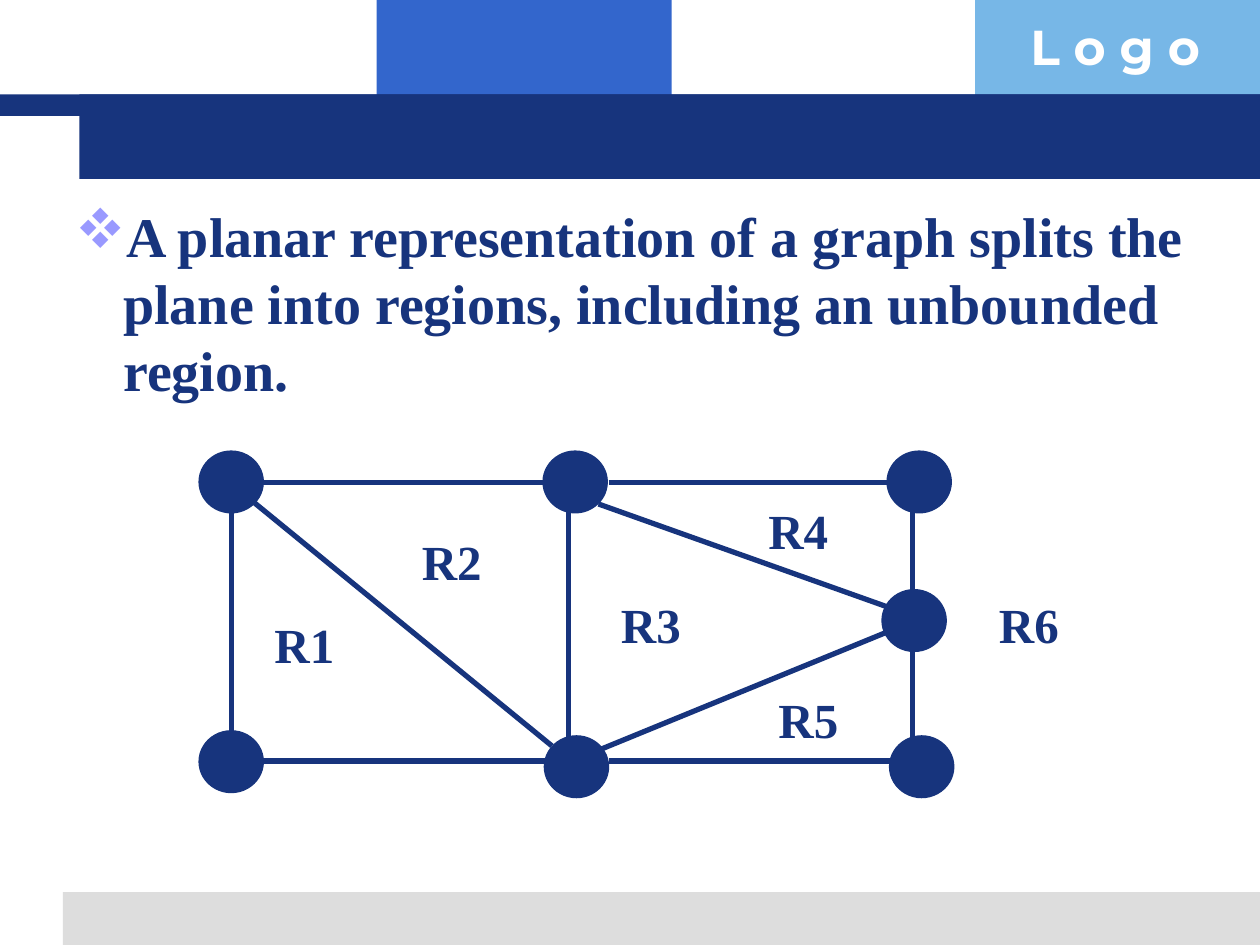
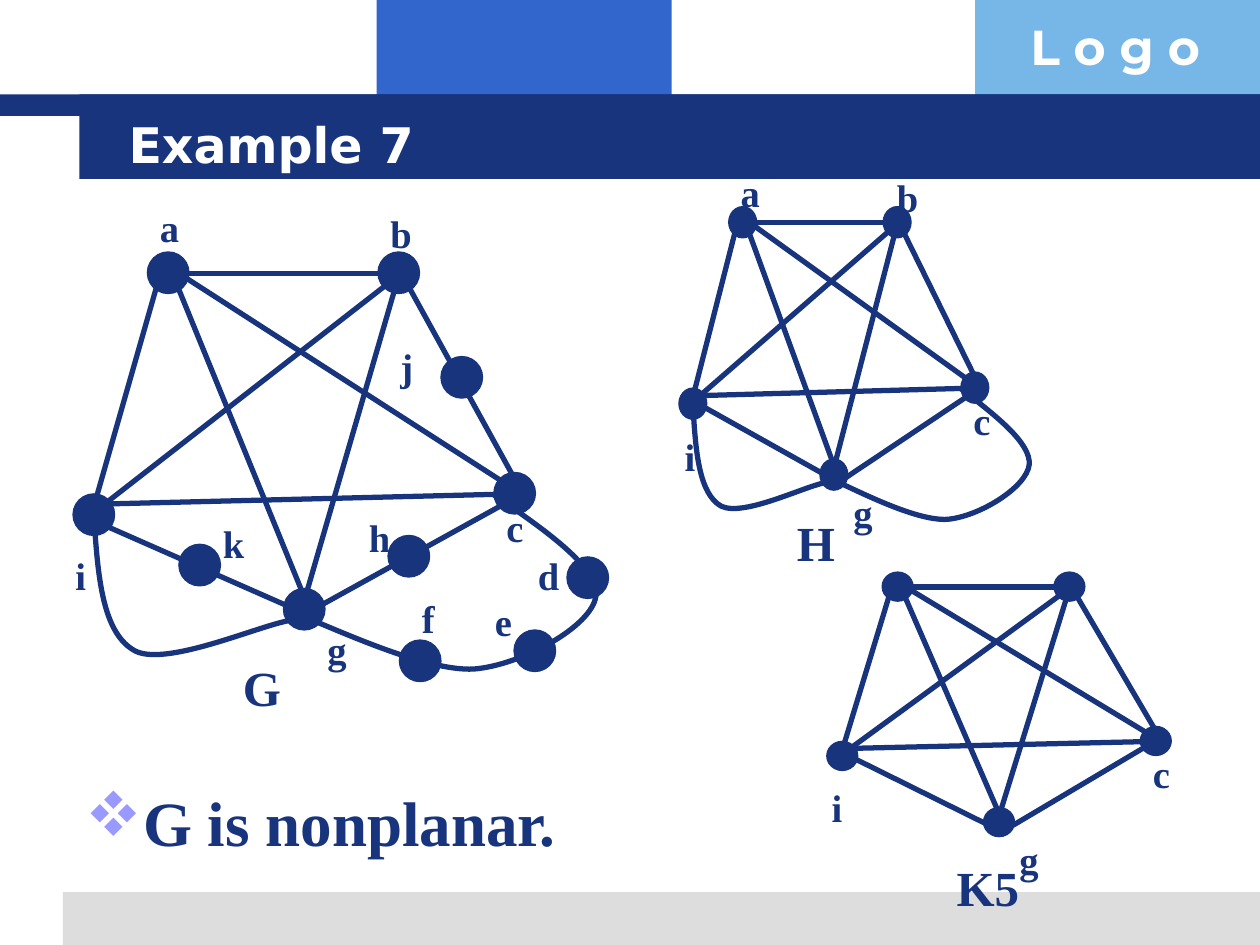
"""Build two slides on planar graphs: regions of a planar drawing, and a nonplanar example."""
from lxml import etree
from pptx import Presentation
from pptx.dml.color import RGBColor
from pptx.enum.shapes import MSO_CONNECTOR, MSO_SHAPE
from pptx.enum.text import MSO_ANCHOR, PP_ALIGN
from pptx.oxml.ns import qn
from pptx.util import Inches, Pt

RECTANGLE, OVAL = MSO_SHAPE.RECTANGLE, MSO_SHAPE.OVAL
STRAIGHT = MSO_CONNECTOR.STRAIGHT
LEFT, TOP, MIDDLE = PP_ALIGN.LEFT, MSO_ANCHOR.TOP, MSO_ANCHOR.MIDDLE

NAVY = RGBColor(0x17, 0x34, 0x7D)
BLUE = RGBColor(0x33, 0x66, 0xCC)
SKY = RGBColor(0x77, 0xB7, 0xE7)
GREY = RGBColor(0xDD, 0xDD, 0xDD)
WHITE = RGBColor(0xFF, 0xFF, 0xFF)
BULLET_COLOUR = RGBColor(0x99, 0x99, 0xFF)
SERIF, TITLE_FONT, LOGO_FONT = "Times New Roman", "DejaVu Sans", "Montserrat"
BULLET_FONT, BULLET_CHARACTER = "Wingdings", "v"
TITLE_ONLY, BLANK = 5, 6

BANDS = [
    ((2.99, 0, 2.34, 0.92), BLUE),
    ((7.74, 0, 2.26, 0.92), SKY),
    ((0.5, 7.08, 9.5, 0.42), GREY),
    ((0, 0.75, 10, 0.17), NAVY),
    ((0.63, 0.75, 9.37, 0.67), NAVY),
]

REGION_TEXT = ("A planar representation of a graph splits the plane into regions, "
               "including an unbounded region.")
REGION_NODE_SIZE = (0.51, 0.49)
REGION_NODES = [(1.58, 3.58), (1.58, 5.8), (4.31, 3.58), (4.32, 5.84),
                (7.04, 3.58), (7.06, 5.84), (7, 4.68)]
REGION_EDGES = [
    (1.97, 3.95, 4.38, 5.92), (2.09, 3.83, 4.38, 3.83), (2.09, 6.04, 4.38, 6.04),
    (1.84, 4.07, 1.84, 5.8), (4.51, 3.95, 4.51, 5.92), (4.83, 3.83, 7.11, 3.83),
    (4.83, 6.04, 7.11, 6.04), (7.24, 3.95, 7.24, 5.92), (4.75, 4, 7.08, 4.83),
    (4.76, 5.95, 7.08, 5),
]
REGION_LABELS = {"R1": (2.08, 4.83), "R2": (3.25, 4.17), "R3": (4.83, 4.67),
                 "R4": (6, 3.92), "R5": (6.08, 5.42), "R6": (7.83, 4.67)}

NODE_SIZE = 0.33
LABEL_SIZE = (0.42, 0.47)
NAME_POSITION = (1.83, 5.17)
PENTAGON_NODES = [(1.17, 2), (3, 2), (0.58, 3.92), (3.92, 3.75), (2.25, 4.67)]
SUBDIVIDING_NODES = [(3.5, 2.83), (3.08, 4.25), (1.42, 4.32),
                     (4.5, 4.42), (4.08, 5), (3.17, 5.08)]
PENTAGON_EDGES = [
    (0.75, 4, 1.25, 2.25), (2.42, 4.75, 1.4, 2.25), (3.08, 2.25, 0.83, 4),
    (4.15, 3.92, 3.23, 2.25), (2.42, 4.75, 3.17, 2.17), (4.08, 3.92, 0.83, 4),
    (4, 3.83, 1.42, 2.17), (3.08, 2.17, 1.42, 2.17),
]
LOOPS = [
    [(3.91, 3.92), (4.33, 4.21), (4.75, 4.5), (4.73, 4.73), (4.7, 4.97),
     (4.14, 5.28), (3.76, 5.31), (3.37, 5.33), (2.64, 4.98), (2.42, 4.9)],
    [(0.75, 4.17), (0.78, 4.6), (0.82, 5.04), (1.08, 5.17),
     (1.35, 5.29), (2.11, 4.94), (2.33, 4.92)],
]
LABELS = {"a": (1.17, 1.57), "b": (3, 1.62), "i": (0.5, 4.33), "g": (2.5, 4.92),
          "c": (3.92, 3.95), "k": (1.67, 4.08), "h": (2.83, 4.03), "j": (3.08, 2.67),
          "f": (3.25, 4.67), "e": (3.83, 4.7), "d": (4.17, 4.33)}
GRAPHS = [
    {"name": "G", "name_width": 0.58, "origin": (0, 0), "scale": (1, 1),
     "nodes": PENTAGON_NODES + SUBDIVIDING_NODES, "labels": "abigckhjfed", "loops": LOOPS,
     "lower_edges": [(0.83, 4.17, 2.33, 4.83), (2.5, 4.83, 4, 4)]},
    {"name": "H", "name_width": 0.39, "origin": (5, 0.14), "scale": (0.67, 0.75),
     "nodes": PENTAGON_NODES, "labels": "abigc", "loops": LOOPS,
     "moved_labels": {"a": (5.78, 1.29), "b": (7.02, 1.33)},
     "lower_edges": [(5.55, 3.21, 6.55, 3.77), (6.67, 3.82, 7.7, 3.13)]},
    {"name": "K5", "name_width": 0.94, "origin": (6.13, 3.14), "scale": (0.745, 0.7),
     "nodes": PENTAGON_NODES, "labels": "igc", "loops": [],
     "lower_edges": [(6.74, 6, 7.87, 6.56), (8.04, 6.55, 9.12, 5.91)]},
]


def add_filled(slide, kind, box, colour, outlined=False):
    shape = slide.shapes.add_shape(kind, *map(Inches, box))
    shape.shadow.inherit = False
    shape.fill.solid()
    shape.fill.fore_color.rgb = colour
    if outlined:
        shape.line.color.rgb = colour
        shape.line.width = Pt(0.75)
    else:
        shape.line.fill.background()


def add_edge(slide, ends):
    connector = slide.shapes.add_connector(STRAIGHT, *map(Inches, ends))
    connector.line.color.rgb = NAVY
    connector.line.width = Pt(3)
    etree.SubElement(connector.element.spPr, qn("a:effectLst"))


def add_curve(slide, controls):
    points = [(Inches(x), Inches(y)) for x, y in controls]
    builder = slide.shapes.build_freeform(*points[0])
    builder.add_line_segments(points[1:], close=False)
    curve = builder.convert_to_shape()
    outline = next(curve.element.iter(qn("a:path")))
    segments = outline.findall(qn("a:lnTo"))
    for first in range(0, len(segments), 3):
        bezier = etree.SubElement(outline, qn("a:cubicBezTo"))
        for segment in segments[first:first + 3]:
            bezier.append(segment[0])
            outline.remove(segment)
    curve.shadow.inherit = False
    curve.fill.background()
    curve.line.color.rgb = NAVY
    curve.line.width = Pt(3)


def add_bullet(paragraph):
    properties = paragraph._p.get_or_add_pPr()
    properties.set("marL", str(Inches(0.38)))
    properties.set("indent", str(-Inches(0.38)))
    colour = etree.SubElement(properties, qn("a:buClr"))
    etree.SubElement(colour, qn("a:srgbClr"), val=str(BULLET_COLOUR))
    etree.SubElement(properties, qn("a:buFont"), typeface=BULLET_FONT, charset="2")
    etree.SubElement(properties, qn("a:buChar"), char=BULLET_CHARACTER)


def write(shape, text, size, font=SERIF, colour=NAVY, anchor=TOP, bullet=False):
    frame = shape.text_frame
    frame.word_wrap = True
    frame.vertical_anchor = anchor
    paragraph = frame.paragraphs[0]
    paragraph.text = text
    paragraph.alignment = LEFT
    if bullet:
        add_bullet(paragraph)
    run_font = paragraph.runs[0].font
    run_font.name, run_font.size, run_font.bold = font, Pt(size), True
    run_font.color.rgb = colour


def add_text(slide, box, text, size, **style):
    write(slide.shapes.add_textbox(*map(Inches, box)), text, size, **style)


def add_slide(presentation, title=None):
    slide = presentation.slides.add_slide(
        presentation.slide_layouts[TITLE_ONLY if title else BLANK])
    for box, colour in BANDS:
        add_filled(slide, RECTANGLE, box, colour)
    add_text(slide, (8.08, 0.08, 1.93, 0.57), "L o g o", 28, font=LOGO_FONT, colour=WHITE)
    if title:
        shape = slide.shapes.title
        shape.left, shape.top, shape.width, shape.height = map(Inches, (0.92, 0.83, 8.53, 0.62))
        write(shape, title, 28, font=TITLE_FONT, colour=WHITE, anchor=MIDDLE)
        shape.element.getparent().append(shape.element)
    return slide


def add_graph(slide, graph):
    (origin_x, origin_y), (scale_x, scale_y) = graph["origin"], graph["scale"]

    def place(x, y):
        return origin_x + scale_x * x, origin_y + scale_y * y

    for x1, y1, x2, y2 in PENTAGON_EDGES:
        add_edge(slide, place(x1, y1) + place(x2, y2))
    for ends in graph["lower_edges"]:
        add_edge(slide, ends)
    for loop in graph["loops"]:
        add_curve(slide, [place(*point) for point in loop])
    for node in graph["nodes"]:
        box = place(*node) + (NODE_SIZE * scale_x, NODE_SIZE * scale_y)
        add_filled(slide, OVAL, box, NAVY, outlined=True)
    width, height = LABEL_SIZE
    moved = graph.get("moved_labels", {})
    for letter in graph["labels"]:
        position = moved.get(letter, place(*LABELS[letter]))
        add_text(slide, position + (width * scale_x, height), letter, 22)
    add_text(slide, place(*NAME_POSITION) + (graph["name_width"], 0.57), graph["name"], 28)


def build_regions(presentation):
    slide = add_slide(presentation)
    add_text(slide, (0.5, 1.55, 9.33, 1.95), REGION_TEXT, 32, bullet=True)
    for ends in REGION_EDGES:
        add_edge(slide, ends)
    for node in REGION_NODES:
        add_filled(slide, OVAL, node + REGION_NODE_SIZE, NAVY, outlined=True)
    for label, position in REGION_LABELS.items():
        add_text(slide, position + (0.99, 0.57), label, 28)


def build_example(presentation):
    slide = add_slide(presentation, "Example 7")
    add_text(slide, (0.58, 6.17, 4.92, 0.58), "G is nonplanar.", 36, bullet=True)
    for graph in GRAPHS:
        add_graph(slide, graph)


def main():
    presentation = Presentation()
    presentation.slide_width, presentation.slide_height = Inches(10), Inches(7.5)
    build_regions(presentation)
    build_example(presentation)
    presentation.save("out.pptx")


if __name__ == "__main__":
    main()
